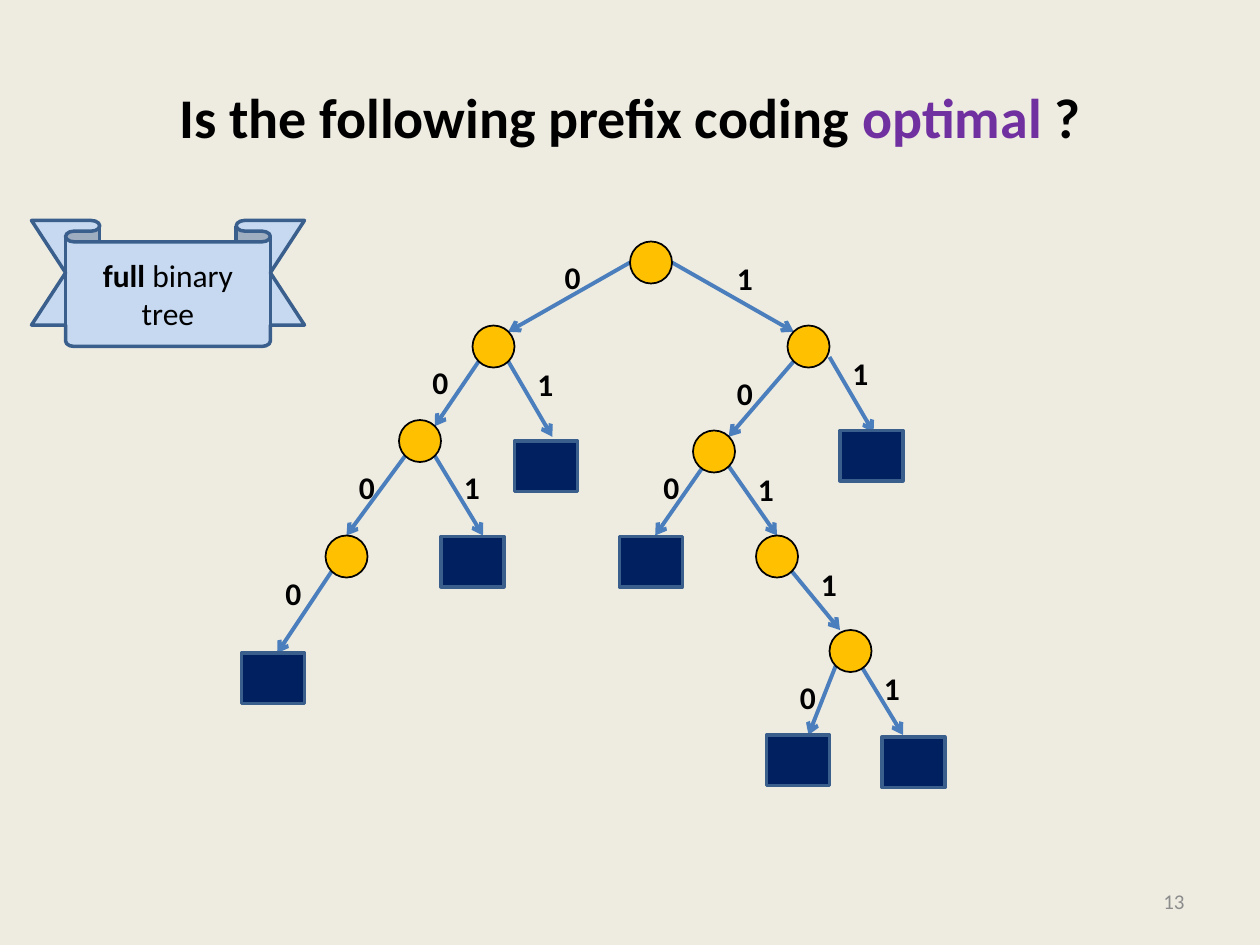
"""Build a slide that asks whether a prefix coding tree is optimal."""
from lxml import etree
from pptx import Presentation
from pptx import util as u
from pptx.dml.color import RGBColor
from pptx.enum import shapes, text
from pptx.oxml.ns import qn

PX = 914400 / 120
FONT = "Calibri"
COLORS = {
    "page": "EEECE1", "ink": "000000", "accent": "7030A0", "number": "8C8C8C",
    "edge": "4B7EBC", "node": "FFC000", "leaf": "002060", "outline": "3A5F8C",
    "ribbon": "C6D9F1",
}
TITLE = [("Is the following prefix coding ", "ink", True),
         ("optimal", "accent", True), (" ?", "ink", True)]
NOTE = [("full ", "ink", True), ("binary tree", "ink", False)]
NUMBER = [("13", "number", False)]

NODE_SIZE = (40, 40)
LEAF_SIZE = (60, 48)
LABEL_SIZE = (40, 48)
NODES = [(600, 230), (450, 310), (750, 310), (380, 400),
         (660, 410), (310, 510), (720, 510), (790, 600)]
LEAVES = [(490, 420), (800, 410), (420, 511), (590, 511),
          (230, 622), (730, 700), (840, 702)]
EDGES = [
    ("0", (600, 250), (484, 316), (526, 240)),
    ("1", (640, 250), (756, 316), (690, 241)),
    ("0", (456, 344), (414, 406), (400, 340)),
    ("1", (484, 344), (526, 416), (500, 342)),
    ("0", (756, 344), (694, 416), (690, 350)),
    ("1", (790, 340), (832, 412), (800, 331)),
    ("0", (386, 434), (330, 510), (330, 440)),
    ("1", (414, 434), (460, 510), (430, 440)),
    ("0", (670, 444), (624, 510), (620, 440)),
    ("1", (694, 444), (740, 510), (710, 442)),
    ("0", (316, 544), (264, 622), (260, 541)),
    ("1", (754, 544), (800, 600), (770, 532)),
    ("0", (796, 634), (770, 700), (750, 640)),
    ("1", (820, 634), (860, 700), (830, 631)),
]


def emu(*lengths):
    return [u.Emu(round(length * PX)) for length in lengths]


def color(name):
    return RGBColor.from_string(COLORS[name])


def write(shape, spans, size=18, align="LEFT", anchor="TOP", wrap=True):
    frame = shape.text_frame
    frame.word_wrap = wrap
    frame.vertical_anchor = text.MSO_ANCHOR[anchor]
    para = frame.paragraphs[0]
    para.alignment = text.PP_ALIGN[align]
    for words, ink, bold in spans:
        span = para.add_run()
        span.text = words
        span.font.name = FONT
        span.font.size = u.Pt(size)
        span.font.bold = bold
        span.font.color.rgb = color(ink)


def add_box(page, place, extent, spans, **style):
    box = page.shapes.add_textbox(*emu(*place, *extent))
    write(box, spans, **style)


def add_figure(page, kind, place, extent, fill, line, width):
    figure = page.shapes.add_shape(shapes.MSO_SHAPE[kind], *emu(*place, *extent))
    figure.shadow.inherit = False
    figure.fill.solid()
    figure.fill.fore_color.rgb = color(fill)
    figure.line.color.rgb = color(line)
    figure.line.width = u.Pt(width)
    return figure


def add_arrow(page, start, end):
    arrow = page.shapes.add_connector(
        shapes.MSO_CONNECTOR.STRAIGHT, *emu(*start, *end))
    arrow.line.color.rgb = color("edge")
    arrow.line.width = u.Pt(2.25)
    outline = arrow._element.spPr.find(qn("a:ln"))
    etree.SubElement(outline, qn("a:tailEnd"), type="arrow")
    etree.SubElement(arrow._element.spPr, qn("a:effectLst"))


def main():
    deck = Presentation()
    deck.slide_width, deck.slide_height = emu(1200, 900)
    page = deck.slides.add_slide(deck.slide_layouts[5])
    page.background.fill.solid()
    page.background.fill.fore_color.rgb = color("page")

    title = page.shapes.title
    title.left, title.top, title.width, title.height = emu(60, 36, 1080, 150)
    write(title, TITLE, size=32, align="CENTER", anchor="MIDDLE")
    add_box(page, (860, 834), (280, 48), NUMBER, size=12,
            align="RIGHT", anchor="MIDDLE")

    for _, start, end, _ in EDGES:
        add_arrow(page, start, end)
    for place in NODES:
        add_figure(page, "OVAL", place, NODE_SIZE, "node", "ink", 1)
    for place in LEAVES:
        add_figure(page, "RECTANGLE", place, LEAF_SIZE, "leaf", "outline", 2)
    for bit, _, _, place in EDGES:
        add_box(page, place, LABEL_SIZE, [(bit, "ink", True)], wrap=False)

    ribbon = add_figure(page, "DOWN_RIBBON", (30, 210), (260, 120),
                        "ribbon", "outline", 2)
    ribbon.adjustments[0] = 0.17
    ribbon.adjustments[1] = 0.75
    write(ribbon, NOTE, align="CENTER", anchor="MIDDLE")
    deck.save("out.pptx")


if __name__ == "__main__":
    main()
